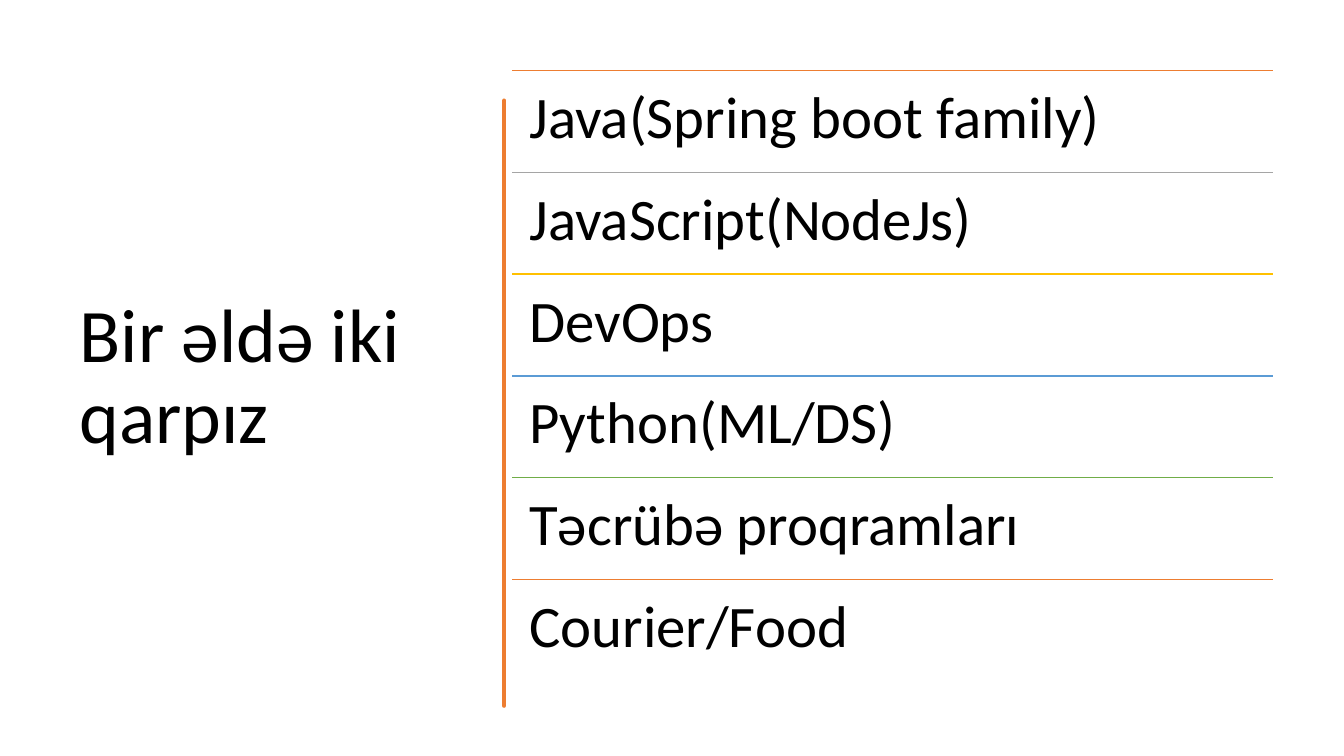
from dataclasses import dataclass

from pptx import Presentation
from pptx.dml.color import RGBColor
from pptx.enum.shapes import MSO_CONNECTOR as Connector
from pptx.enum.text import MSO_ANCHOR as Anchor, MSO_AUTO_SIZE as AutoSize, PP_ALIGN as Align
from pptx.oxml.ns import qn
from pptx.util import Inches, Pt
from lxml.etree import SubElement


@dataclass(frozen=True)
class Theme:
    """Font, colours and type sizes of the slide."""
    font: str = "Calibri"
    text: str = "000000"
    orange: str = "ED7D31"
    gray: str = "A5A5A5"
    gold: str = "FFC000"
    blue: str = "5B9BD5"
    green: str = "70AD47"
    title_size: int = 54
    topic_size: int = 42
    rule_width: float = 1
    brush_width: float = 3.25


THEME = Theme()
TITLE = "Bir əldə iki qarpız"
TOPICS = [
    ("Java(Spring boot family)", THEME.orange),
    ("JavaScript(NodeJs)", THEME.gray),
    ("DevOps", THEME.gold),
    ("Python(ML/DS)", THEME.blue),
    ("Təcrübə proqramları", THEME.green),
    ("Courier/Food", THEME.orange),
]
LIST_LEFT, LIST_TOP, LIST_WIDTH, ROW_HEIGHT = 5.08, 0.7, 7.55, 1.01
ROW_INSET = 0.17
BRUSH_RIGHT = [
    (4.75, 0.84), (4.76, 1.15), (4.75, 1.5), (4.74, 1.75), (4.75, 2.26),
    (4.75, 2.94), (4.76, 3.3), (4.75, 3.6), (4.76, 4.1), (4.74, 4.6),
    (4.75, 5.1), (4.77, 5.45), (4.75, 5.9), (4.74, 6.2), (4.75, 6.76),
]
BRUSH_LEFT = [
    (4.73, 6.76), (4.72, 6.4), (4.73, 6.13), (4.74, 5.8), (4.73, 5.4),
    (4.73, 4.75), (4.72, 4.4), (4.74, 4.15), (4.72, 3.5), (4.73, 3),
    (4.72, 2.7), (4.74, 2.1), (4.73, 1.8), (4.72, 1.6), (4.74, 1.25),
    (4.73, 0.84),
]


def style_text(frame, text, size):
    """Write one left-aligned paragraph in the theme font."""
    frame.word_wrap = True
    frame.auto_size = AutoSize.NONE
    para = frame.paragraphs[0]
    para.text = text
    para.alignment = Align.LEFT
    para.line_spacing = 0.9
    para.font.name = THEME.font
    para.font.size = Pt(size)
    para.font.color.rgb = RGBColor.from_string(THEME.text)


def add_title(page):
    """Place the slide title in the left column."""
    title = page.shapes.title
    title.left, title.top = Inches(0.69), Inches(0.7)
    title.width, title.height = Inches(3.74), Inches(6.11)
    style_text(title.text_frame, TITLE, THEME.title_size)
    title.text_frame.vertical_anchor = Anchor.MIDDLE


def add_brush_stroke(page):
    """Draw the uneven vertical stroke between title and list."""
    start, *rest = BRUSH_RIGHT + BRUSH_LEFT
    builder = page.shapes.build_freeform(*start, scale=Inches(1))
    builder.add_line_segments(rest, close=True)
    stroke = builder.convert_to_shape()
    stroke.shadow.inherit = False
    color = RGBColor.from_string(THEME.orange)
    stroke.fill.solid()
    stroke.fill.fore_color.rgb = color
    stroke.line.color.rgb = color
    stroke.line.width = Pt(THEME.brush_width)
    SubElement(stroke.line._get_or_add_ln(), qn("a:round"))


def add_rule(page, top, color):
    """Draw the thin line above a topic."""
    rule = page.shapes.add_connector(
        Connector.STRAIGHT, Inches(LIST_LEFT), Inches(top),
        Inches(LIST_LEFT + LIST_WIDTH), Inches(top))
    rule.line.color.rgb = RGBColor.from_string(color)
    rule.line.width = Pt(THEME.rule_width)
    SubElement(rule._element.spPr, qn("a:effectLst"))


def add_topic(page, top, text):
    """Write one topic in its row."""
    box = page.shapes.add_textbox(
        Inches(LIST_LEFT), Inches(top), Inches(LIST_WIDTH), Inches(ROW_HEIGHT))
    frame = box.text_frame
    frame.margin_left = frame.margin_right = Inches(ROW_INSET)
    frame.margin_top = frame.margin_bottom = Inches(ROW_INSET)
    frame.vertical_anchor = Anchor.TOP
    style_text(frame, text, THEME.topic_size)


def main():
    """Build the slide and save the deck."""
    deck = Presentation()
    deck.slide_width, deck.slide_height = Inches(13.33), Inches(7.5)
    page = deck.slides.add_slide(deck.slide_layouts.get_by_name("Title Only"))
    add_title(page)
    add_brush_stroke(page)
    for row, (text, color) in enumerate(TOPICS):
        top = LIST_TOP + row * ROW_HEIGHT
        add_rule(page, top, color)
        add_topic(page, top, text)
    deck.save("out.pptx")


if __name__ == "__main__":
    main()
